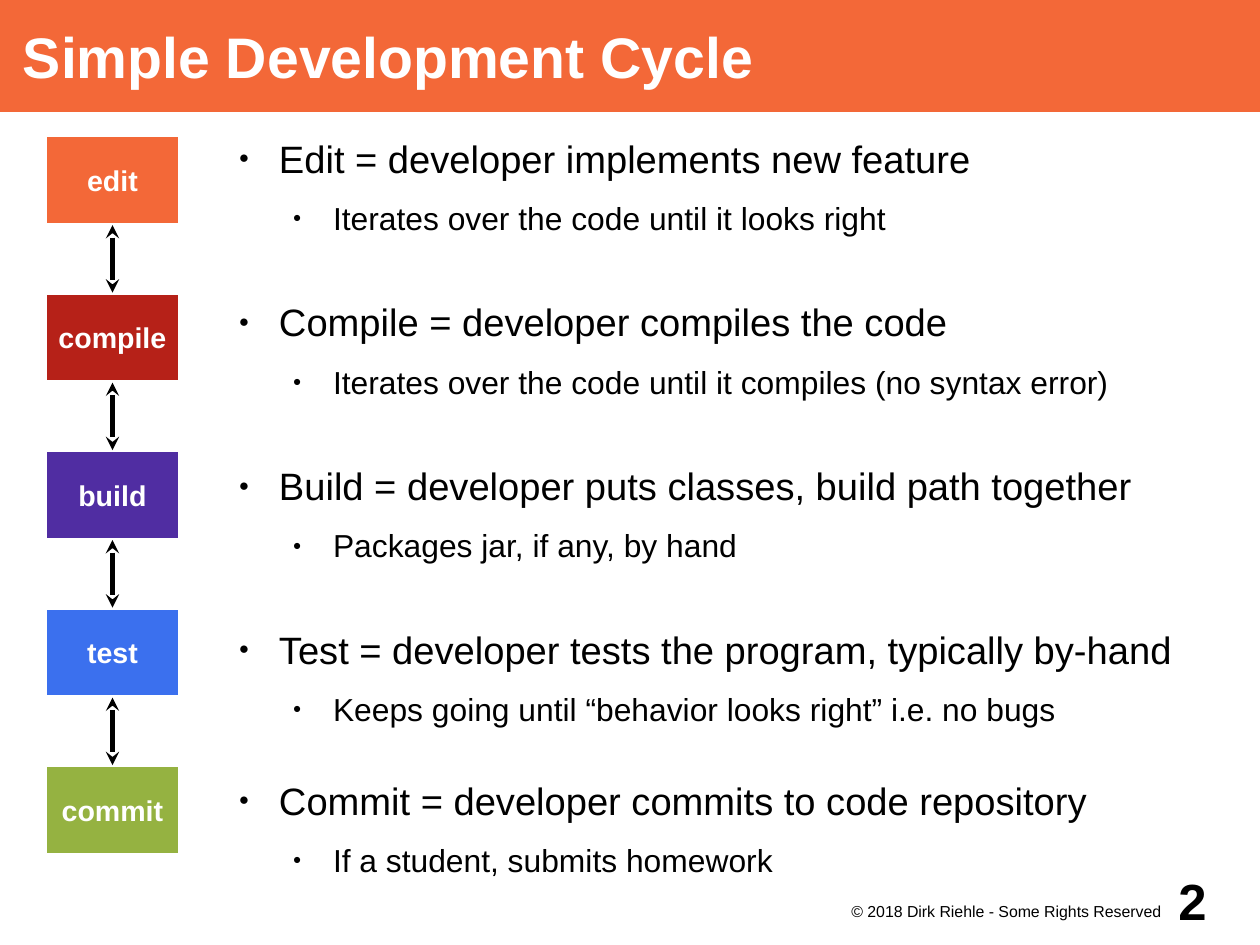
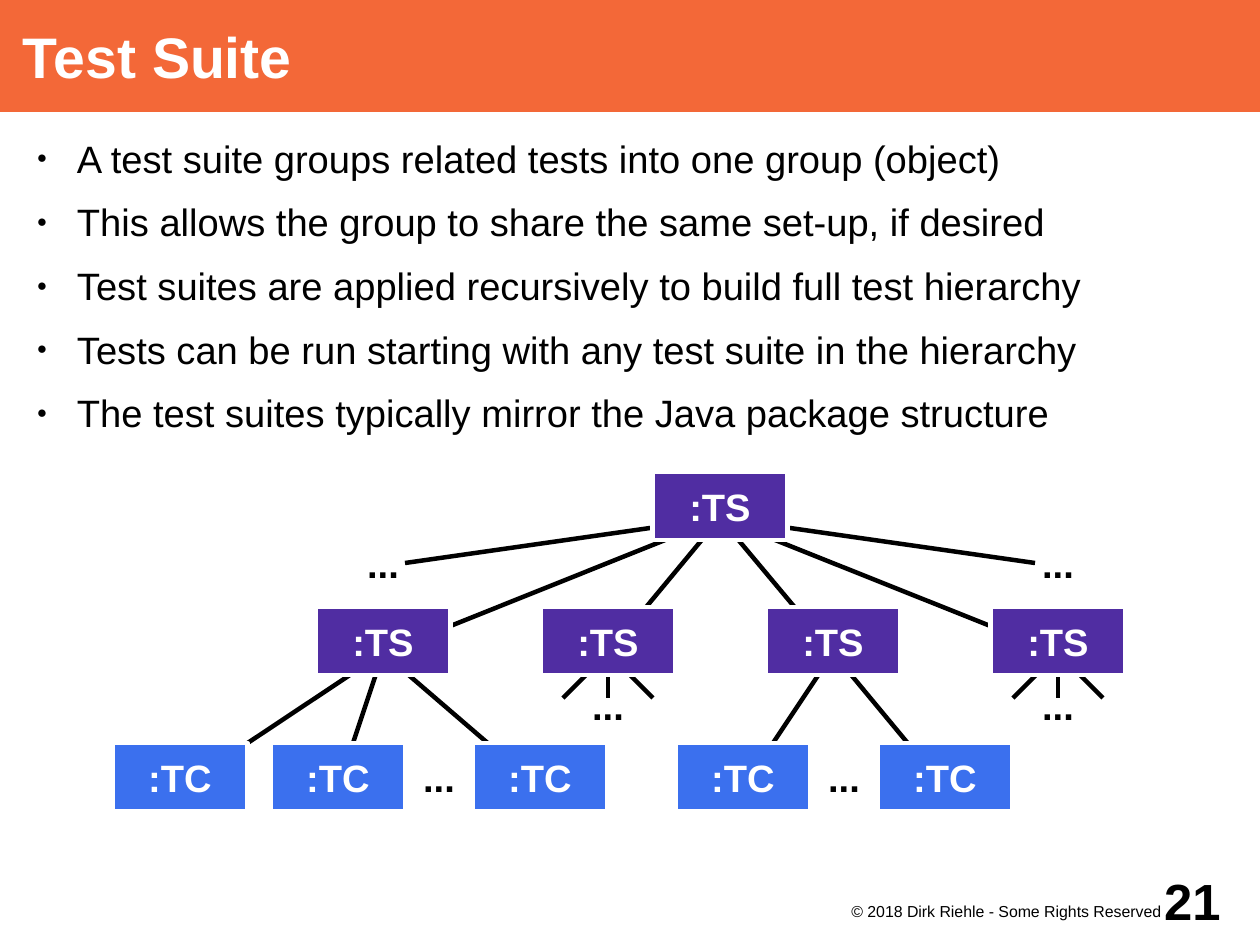
from lxml.etree import SubElement
from pptx import Presentation
from pptx.dml.color import RGBColor
from pptx.enum.shapes import MSO_CONNECTOR, MSO_SHAPE
from pptx.enum.text import MSO_ANCHOR, MSO_AUTO_SIZE, PP_ALIGN
from pptx.oxml.ns import qn
from pptx.util import Pt

PX = 8000
FONT = "Arial"
COLORS = {
    "orange": "F36838", "red": "B62118", "purple": "502DA2", "blue": "3B70EE",
    "green": "95B241", "black": "000000", "white": "FFFFFF",
}
SLIDE_SIZE = (1260, 945)
TITLE_AREA = (0, 0, 1260, 112)
COPYRIGHT_AREA = (810, 900, 360, 45)
NUMBER_AREA = (1148, 855, 112, 90)
COPYRIGHT = "© 2018 Dirk Riehle - Some Rights Reserved"
LINE_WIDTH = Pt(2.83)
LEVEL_SIZES = (24, 20)
SPACE_AFTER = 11.3

CYCLE_TITLE = "Simple Development Cycle"
CYCLE_BODY_AREA = (225, 135, 1013, 788)
CYCLE_STEPS = [
    ("edit", "orange", 0, "Edit = developer implements new feature",
     "Iterates over the code until it looks right"),
    ("compile", "red", 27.7, "Compile = developer compiles the code",
     "Iterates over the code until it compiles (no syntax error)"),
    ("build", "purple", 27.7, "Build = developer puts classes, build path together",
     "Packages jar, if any, by hand"),
    ("test", "blue", 27.7, "Test = developer tests the program, typically by-hand",
     "Keeps going until “behavior looks right” i.e. no bugs"),
    ("commit", "green", 19.6, "Commit = developer commits to code repository",
     "If a student, submits homework"),
]
STEP_LEFT, STEP_FIRST_TOP, STEP_LAST_TOP = 45, 135, 765
STEP_SIZE = (135, 90)

SUITE_TITLE = "Test Suite"
SUITE_BODY_AREA = (23, 135, 1215, 675)
SUITE_POINTS = [
    "A test suite groups related tests into one group (object)",
    "This allows the group to share the same set-up, if desired",
    "Test suites are applied recursively to build full test hierarchy",
    "Tests can be run starting with any test suite in the hierarchy",
    "The test suites typically mirror the Java package structure",
]
NODE_SIZE = (135, 68)
ROOT = (720, 506)
ROOT_JOINT = (720, 518)
SUITE_Y, CASE_Y = 641, 777
SUITE_JOINT_Y, CASE_JOINT_Y = 653, 788
SUITE_FIRST_X, SUITE_STEP = 383, 225
SUITE_CASES = [[180, 338, 540], [], [743, 945], []]
STUB = 45
OUTER_JOINTS = [(405, 563), (1035, 563)]


def rgb(color):
    return RGBColor.from_string(COLORS[color])


def place(shape, area):
    shape.left, shape.top, shape.width, shape.height = (round(v * PX) for v in area)


def around(center, size):
    return center[0] - size[0] / 2, center[1] - size[1] / 2, *size


def set_frame(frame, insets=(0, 0, 0, 0), anchor=MSO_ANCHOR.MIDDLE, wrap=True):
    frame.auto_size = MSO_AUTO_SIZE.NONE
    frame.word_wrap = wrap
    frame.vertical_anchor = anchor
    (frame.margin_left, frame.margin_top,
     frame.margin_right, frame.margin_bottom) = (v * PX for v in insets)


def write(paragraph, text, size, color="black", bold=False, align=PP_ALIGN.LEFT):
    paragraph.alignment = align
    run = paragraph.add_run()
    run.text = text
    run.font.name = FONT
    run.font.size = Pt(size)
    run.font.bold = bold
    run.font.color.rgb = rgb(color)


def add_label(slide, area, text, size, bold=True, align=PP_ALIGN.CENTER, **frame_style):
    label = slide.shapes.add_textbox(0, 0, 0, 0)
    place(label, area)
    set_frame(label.text_frame, **frame_style)
    write(label.text_frame.paragraphs[0], text, size, bold=bold, align=align)


def add_box(slide, area, text, size, color):
    box = slide.shapes.add_shape(MSO_SHAPE.RECTANGLE, 0, 0, 0, 0)
    place(box, area)
    box.shadow.inherit = False
    box.fill.solid()
    box.fill.fore_color.rgb = rgb(color)
    box.line.color.rgb = rgb("white")
    box.line.width = LINE_WIDTH
    set_frame(box.text_frame, wrap=False)
    write(box.text_frame.paragraphs[0], text, size, "white", True, PP_ALIGN.CENTER)
    return box


def add_line(slide, start=(0, 0), end=(0, 0)):
    line = slide.shapes.add_connector(
        MSO_CONNECTOR.STRAIGHT, *(v * PX for v in (*start, *end)))
    line.line.color.rgb = rgb("black")
    line.line.width = LINE_WIDTH
    SubElement(line._element.spPr, qn("a:effectLst"))
    return line


def add_double_arrow(slide, upper, lower):
    arrow = add_line(slide)
    arrow.begin_connect(upper, 2)
    arrow.end_connect(lower, 0)
    outline = arrow.line._get_or_add_ln()
    for tip in ("a:headEnd", "a:tailEnd"):
        SubElement(outline, qn(tip), type="stealth")


def add_bullet(paragraph, level):
    paragraph.level = level
    properties = paragraph._p.get_or_add_pPr()
    properties.set("marL", str(54 * (level + 1) * PX))
    properties.set("indent", str(-40 * PX))
    bullet_color = SubElement(properties, qn("a:buClr"))
    SubElement(bullet_color, qn("a:srgbClr"), val=COLORS["black"])
    SubElement(properties, qn("a:buSzPct"), val="45000")
    SubElement(properties, qn("a:buFont"), typeface=FONT)
    SubElement(properties, qn("a:buChar"), char="●")


def fill_body(body, area, points):
    place(body, area)
    frame = body.text_frame
    set_frame(frame, anchor=MSO_ANCHOR.TOP)
    for index, (text, level, space_before) in enumerate(points):
        paragraph = frame.add_paragraph() if index else frame.paragraphs[0]
        add_bullet(paragraph, level)
        paragraph.space_before = Pt(space_before)
        paragraph.space_after = Pt(SPACE_AFTER)
        write(paragraph, text, LEVEL_SIZES[level])


def add_slide(deck, title_text, number, body_area, points):
    slide = deck.slides.add_slide(deck.slide_layouts[1])
    title = slide.shapes.title
    place(title, TITLE_AREA)
    title.fill.solid()
    title.fill.fore_color.rgb = rgb("orange")
    set_frame(title.text_frame, (23, 0, 0, 0))
    write(title.text_frame.paragraphs[0], title_text, 36, "white", True)
    fill_body(slide.placeholders[1], body_area, points)
    add_label(slide, COPYRIGHT_AREA, COPYRIGHT, 10, bold=False, align=PP_ALIGN.RIGHT,
              insets=(0, 2, 9, 0), anchor=MSO_ANCHOR.TOP)
    add_label(slide, NUMBER_AREA, str(number), 32, insets=(0, 0, 23, 0))
    return slide


def build_cycle(deck):
    points = []
    for _, _, space_before, headline, detail in CYCLE_STEPS:
        points += [(headline, 0, space_before), (detail, 1, 0)]
    slide = add_slide(deck, CYCLE_TITLE, 2, CYCLE_BODY_AREA, points)
    pitch = (STEP_LAST_TOP - STEP_FIRST_TOP) / (len(CYCLE_STEPS) - 1)
    steps = [
        add_box(slide, (STEP_LEFT, STEP_FIRST_TOP + i * pitch, *STEP_SIZE), name, 18, color)
        for i, (name, color, *_) in enumerate(CYCLE_STEPS)
    ]
    for upper, lower in zip(steps, steps[1:]):
        add_double_arrow(slide, upper, lower)


def build_suite(deck):
    points = [(text, 0, 0) for text in SUITE_POINTS]
    slide = add_slide(deck, SUITE_TITLE, 21, SUITE_BODY_AREA, points)
    nodes = [(ROOT, ":TS", "purple")]
    ellipses = []
    for joint in OUTER_JOINTS:
        add_line(slide, ROOT_JOINT, joint)
    for i, cases in enumerate(SUITE_CASES):
        x = SUITE_FIRST_X + i * SUITE_STEP
        joint = (x, SUITE_JOINT_Y)
        add_line(slide, ROOT_JOINT, joint)
        nodes.append(((x, SUITE_Y), ":TS", "purple"))
        for case_x in cases:
            add_line(slide, joint, (case_x, CASE_JOINT_Y))
            nodes.append(((case_x, CASE_Y), ":TC", "blue"))
        if cases:
            ellipses.append((sum(cases[-2:]) / 2, CASE_Y))
        else:
            for offset in (-STUB, 0, STUB):
                add_line(slide, joint, (x + offset, SUITE_JOINT_Y + STUB))
            ellipses.append((x, 705))
        if i in (0, len(SUITE_CASES) - 1):
            ellipses.append((x, 563))
    for center in ellipses:
        add_label(slide, around(center, (68, 68)), "...", 24)
    for center, text, color in nodes:
        add_box(slide, around(center, NODE_SIZE), text, 24, color)


def main():
    deck = Presentation()
    deck.slide_width, deck.slide_height = (v * PX for v in SLIDE_SIZE)
    build_cycle(deck)
    build_suite(deck)
    deck.save("out.pptx")


if __name__ == "__main__":
    main()
